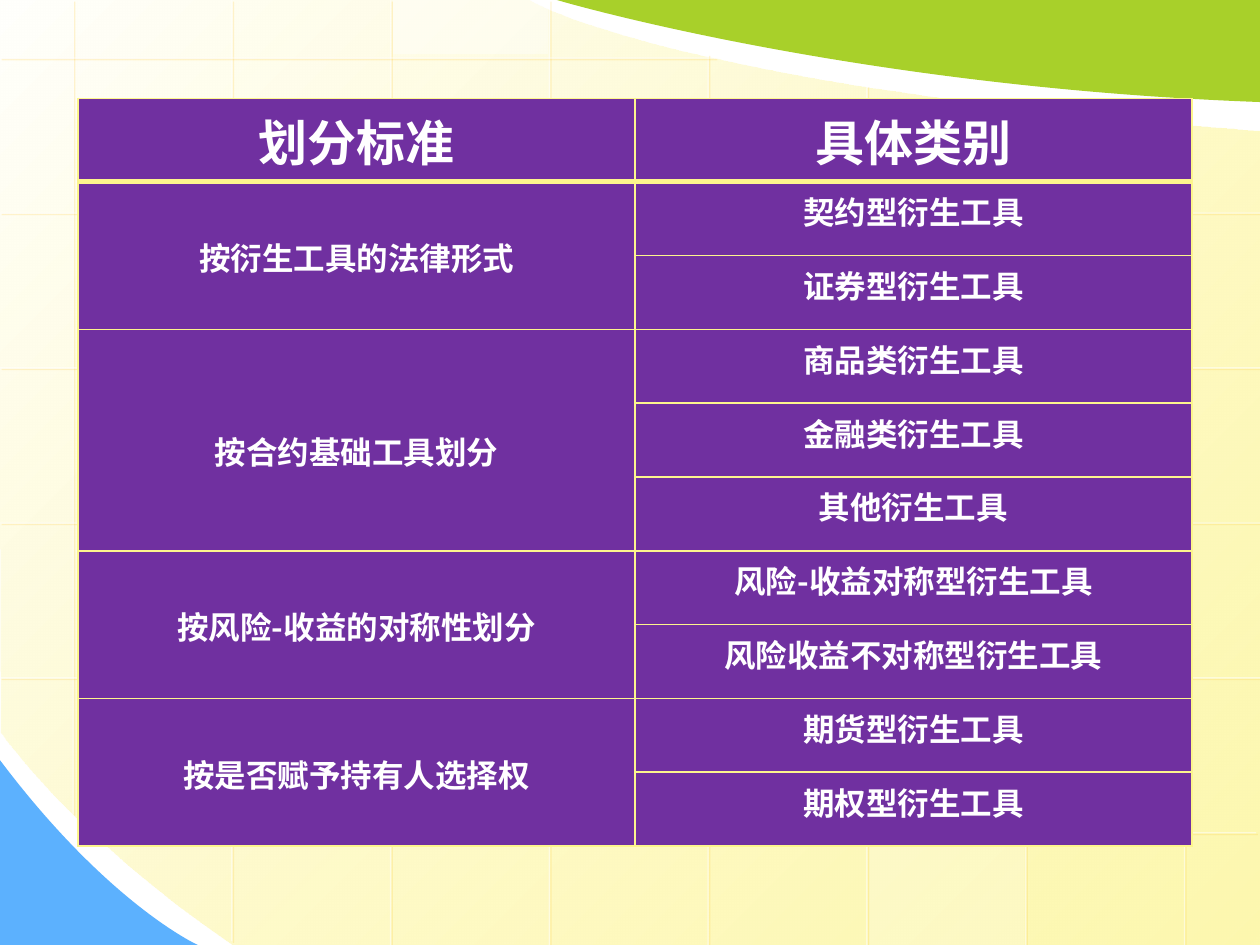
import pptx
import pptx.dml.color
import pptx.enum.shapes
import pptx.enum.text
import pptx.oxml
import pptx.oxml.ns
import pptx.util
from lxml import etree

Inches, Pt = pptx.util.Inches, pptx.util.Pt
qn = pptx.oxml.ns.qn

# Content
HEADINGS = ("划分标准", "具体类别")
GROUPS = [
    ("按衍生工具的法律形式", ["契约型衍生工具", "证券型衍生工具"]),
    ("按合约基础工具划分", ["商品类衍生工具", "金融类衍生工具", "其他衍生工具"]),
    ("按风险-收益的对称性划分", ["风险-收益对称型衍生工具", "风险收益不对称型衍生工具"]),
    ("按是否赋予持有人选择权", ["期货型衍生工具", "期权型衍生工具"]),
]

# Look
WIDTH, HEIGHT = 10, 7.5
FONT = "Noto Sans CJK SC"
WHITE, YELLOW, PURPLE = "FFFFFF", "FDF58D", "7030A0"
GREEN, BLUE, GOLD = "A8D02A", "5CB1FE", "FFC319"

# Curved areas: a pair is a straight step, three pairs are a Bezier step
PANEL = [(10, 1.04), ((10, 4.27), (10, 7.5), (10, 7.5)), (1.87, 7.51),
         ((0.54, 6.6), (0.01, 5.8), (0.01, 5.81)), (-0.01, -0.01), (4.2, 0),
         ((4.2, 0.01), (5.36, 0.69), (10, 1.04))]
BLUE_CORNER = [(-0.01, 6.02), ((-0.01, 6.76), (-0.01, 7.5), (-0.01, 7.5)), (1.57, 7.5),
               ((1.57, 7.5), (0.86, 7.18), (-0.01, 6.02))]
GREEN_CORNER = [(10, 0.81), ((10, 0.4), (10, 0), (10, 0)), (4.42, 0),
                ((4.42, 0), (6.74, 0.69), (10, 0.81))]

# Background grid: first line, step, and the (start, end) of each line
GRID_X, STEP_X = 0.58, 1.26
GRID_Y, STEP_Y = 0.46, 1.23
UPRIGHTS = [(0, 6.46), (0, 7.47), (0, 7.5), (0, 7.52),
            (0.43, 7.52), (0.68, 7.52), (0.85, 7.52), (0.98, 7.52)]
LEVELS = [(0, 5.68)] + [(0, 10.01)] * 4 + [(0.76, 9.97)]
# Tinted squares: column, row, opacity in percent
TINTS = [(3, 2, 25), (6, 4, 30), (0, 3, 20), (5, 5, 20),
         (2, -1, 40), (2, 4, 30), (5, 1, 30)]

# Table
TABLE_LEFT, TABLE_TOP, TABLE_WIDTH, TABLE_HEIGHT = 0.62, 0.78, 8.84, 5.86
LINE_HEIGHT = 0.365


def rgb(color):
    return pptx.dml.color.RGBColor.from_string(color)


def set_alpha(parent, percent):
    for color in parent.iter(qn("a:srgbClr")):
        etree.SubElement(color, qn("a:alpha")).set("val", str(percent * 1000))


def add_area(page, steps):
    points = []
    for step in steps:
        points.extend([step] if len(step) == 2 else step)
    points = [(Inches(x), Inches(y)) for x, y in points]
    builder = page.shapes.build_freeform(*points[0])
    builder.add_line_segments(points[1:], close=True)
    area = builder.convert_to_shape()
    area.shadow.inherit = False
    area.line.fill.background()
    # Join the three points of each Bezier step into one curve
    segments = iter(list(area._element.iter(qn("a:lnTo"))))
    for step in steps[1:]:
        segment = next(segments)
        if len(step) == 3:
            segment.addprevious(curve := etree.Element(qn("a:cubicBezTo")))
            for part in (segment, next(segments), next(segments)):
                curve.append(part[0])
                part.getparent().remove(part)
    return area


def paint(shape, color):
    shape.fill.solid()
    shape.fill.fore_color.rgb = rgb(color)


def add_grid_line(page, x1, y1, x2, y2):
    line = page.shapes.add_connector(pptx.enum.shapes.MSO_CONNECTOR.STRAIGHT,
                                     *map(Inches, (x1, y1, x2, y2)))
    line.line.width = Pt(0.75)
    line.line.color.rgb = rgb(WHITE)
    properties = line._element.spPr
    set_alpha(properties, 50)
    effects = etree.SubElement(properties, qn("a:effectLst"))
    shadow = etree.SubElement(effects, qn("a:outerShdw"), blurRad="0",
                              dist=str(Pt(1.4)), dir="2700000", rotWithShape="0")
    etree.SubElement(shadow, qn("a:srgbClr"), val=GOLD)
    set_alpha(shadow, 35)


def add_tint(page, column, row, opacity):
    left = GRID_X + 0.02 + column * STEP_X
    top = GRID_Y + 0.02 + row * STEP_Y
    bottom = min(top + 1.18, HEIGHT)
    top = max(top, 0)
    square = page.shapes.add_shape(pptx.enum.shapes.MSO_SHAPE.RECTANGLE,
                                   *map(Inches, (left, top, 1.23, bottom - top)))
    square.shadow.inherit = False
    square.line.fill.background()
    paint(square, WHITE)
    set_alpha(square._element.spPr, opacity)


def style_cell(cell, bottom_width, top_width):
    paint(cell, PURPLE)
    properties = cell._tc.get_or_add_tcPr()
    widths = {"a:lnL": 1, "a:lnR": 1, "a:lnT": top_width, "a:lnB": bottom_width}
    for index, (side, width) in enumerate(widths.items()):
        border = etree.Element(qn(side), w=str(Pt(width)))
        fill = etree.SubElement(border, qn("a:solidFill"))
        etree.SubElement(fill, qn("a:srgbClr"), val=YELLOW)
        properties.insert(index, border)


def write_cell(cell, text, size, lines_above=0):
    cell.margin_top = Inches(0.05 + lines_above * LINE_HEIGHT)
    para = cell.text_frame.paragraphs[0]
    para.alignment = pptx.enum.text.PP_ALIGN.CENTER
    span = para.add_run()
    span.text = text
    span.font.size = Pt(size)
    span.font.bold = True
    span.font.color.rgb = rgb(WHITE)
    span.font.name = FONT
    etree.SubElement(span.font._element, qn("a:ea"), typeface=FONT)


def add_classification_table(page):
    row_count = 1 + sum(len(kinds) for _, kinds in GROUPS)
    frame = page.shapes.add_table(row_count, 2, *map(Inches, (
        TABLE_LEFT, TABLE_TOP, TABLE_WIDTH, TABLE_HEIGHT)))
    table = frame.table
    table.horz_banding = False
    for row in range(row_count):
        for column in range(2):
            style_cell(table.cell(row, column), 3 if row == 0 else 1,
                       3 if row == 1 else 1)
    for column, heading in enumerate(HEADINGS):
        write_cell(table.cell(0, column), heading, 28)
    row = 1
    for standard, kinds in GROUPS:
        first = table.cell(row, 0)
        first.merge(table.cell(row + len(kinds) - 1, 0))
        write_cell(first, standard, 18, len(kinds) - 1)
        for kind in kinds:
            write_cell(table.cell(row, 1), kind, 18)
            row += 1


def main():
    deck = pptx.Presentation()
    deck.slide_width, deck.slide_height = Inches(WIDTH), Inches(HEIGHT)
    page = deck.slides.add_slide(deck.slide_layouts[6])

    # Yellow panel and blue corner
    panel = add_area(page, PANEL)
    panel.fill.gradient()
    panel.fill.gradient_angle = 315
    first, last = panel.fill.gradient_stops
    first.position, last.position = 0, 1
    first.color.rgb, last.color.rgb = rgb("FFFFFC"), rgb(YELLOW)
    set_alpha(last._gs, 70)
    paint(add_area(page, BLUE_CORNER), BLUE)

    # Grid and tinted squares
    for i, (start, end) in enumerate(UPRIGHTS):
        x = GRID_X + i * STEP_X
        add_grid_line(page, x, start, x, end)
    for i, (start, end) in enumerate(LEVELS):
        y = GRID_Y + i * STEP_Y
        add_grid_line(page, end, y, start, y)
    for tint in TINTS:
        add_tint(page, *tint)

    # Green corner and table
    paint(add_area(page, GREEN_CORNER), GREEN)
    add_classification_table(page)
    deck.save("out.pptx")


if __name__ == "__main__":
    main()
